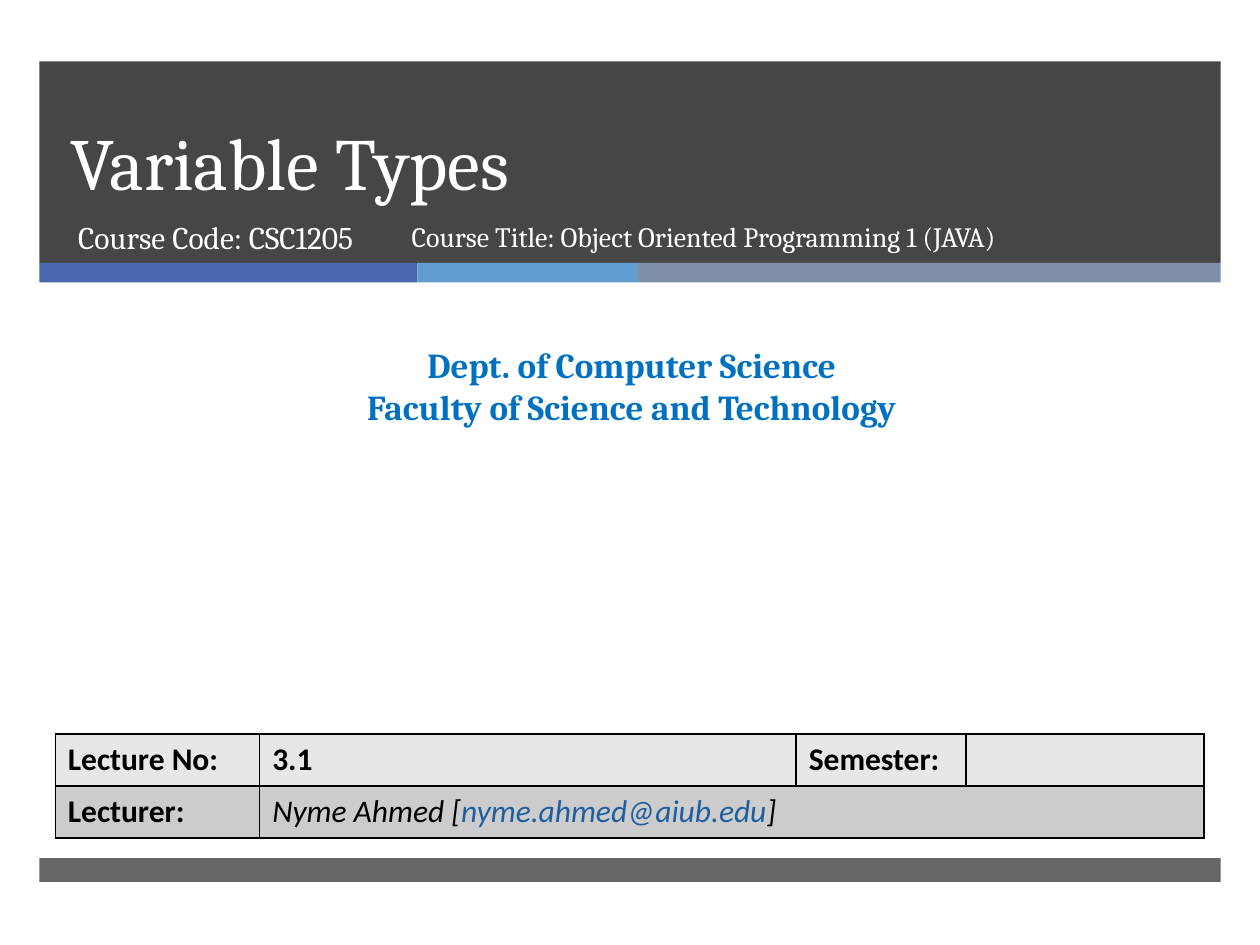
from lxml.etree import SubElement
from pptx import Presentation
from pptx.dml.color import RGBColor
from pptx.enum.shapes import MSO_SHAPE
from pptx.enum.text import MSO_ANCHOR, MSO_AUTO_SIZE, PP_ALIGN
from pptx.oxml.ns import qn
from pptx.util import Pt

THEME = {
    "heading_font": "Cambria", "table_font": "Calibri",
    "dark": "262626", "accents": ("4A66AC", "629DD1", "7F8FA9"),
    "light_text": "FFFFFF", "text": "000000", "department": "0070C0",
    "email": "1F5FA0", "rows": ("E7E7E7", "CCCCCC"), "border": "000000",
    "title": 42, "department_size": 20, "course_code": 18,
    "course_title": 16, "table": 18,
}

TITLE = "Variable Types"
COURSE_CODE = "Course Code: CSC1205"
COURSE_TITLE = "Course Title: Object Oriented Programming 1 (JAVA)"
DEPARTMENT = ["Dept. of Computer Science", "Faculty of Science and Technology"]
LABEL = {"bold": True}
NAME = {"italic": True}
LECTURE_ROWS = [
    [[("Lecture No:", "text", LABEL)], [("3.1", "text", LABEL)],
     [("Semester:", "text", LABEL)], []],
    [[("Lecturer:", "text", LABEL)],
     [("Nyme Ahmed [", "text", NAME), ("nyme.ahmed@aiub.edu", "email", NAME),
      ("]", "text", NAME)]],
]

# Lengths in points
BAND_LEFT, BAND_WIDTH = 22.5, 675
HEADER_TOP, STRIPE_TOP, STRIPE_HEIGHT = 35.1, 150.3, 11.1
STRIPE_WIDTHS = (216, 126, 333)
FOOTER_TOP, FOOTER_HEIGHT = 490.3, 13.7
TABLE_LEFT, TABLE_TOP, ROW_HEIGHT = 31.6, 419.3, 29.8
COLUMN_WIDTHS = (116.8, 306.6, 96.9, 136.1)


def points(*lengths):
    return [Pt(length) for length in lengths]


def add_band(slide, left, top, width, height, color, opacity=None):
    band = slide.shapes.add_shape(MSO_SHAPE.RECTANGLE,
                                  *points(left, top, width, height))
    band.shadow.inherit = False
    band.line.fill.background()
    band.fill.solid()
    band.fill.fore_color.rgb = RGBColor.from_string(color)
    if opacity:
        color_element = next(band._element.spPr.iter(qn("a:srgbClr")))
        SubElement(color_element, qn("a:alpha"), val=str(opacity * 1000))


def add_span(para, text, font, size, color, **style):
    span = para.add_run()
    span.text = text
    for name, value in {"name": font, "size": Pt(size), **style}.items():
        setattr(span.font, name, value)
    span.font.color.rgb = RGBColor.from_string(color)


def fill_box(box, place, lines, size, color, align=PP_ALIGN.LEFT,
             anchor=MSO_ANCHOR.TOP, fit=MSO_AUTO_SIZE.NONE, spacing=None, **style):
    box.left, box.top, box.width, box.height = points(*place)
    frame = box.text_frame
    frame_format = {"word_wrap": True, "auto_size": fit, "vertical_anchor": anchor}
    for name, value in frame_format.items():
        setattr(frame, name, value)
    for index, line in enumerate(lines):
        para = frame.add_paragraph() if index else frame.paragraphs[0]
        para_format = {"alignment": align, "space_before": Pt(0),
                       "line_spacing": spacing or 1.0}
        for name, value in para_format.items():
            setattr(para, name, value)
        add_span(para, line, THEME["heading_font"], THEME[size], THEME[color], **style)


def add_borders(cell):
    properties = cell._tc.get_or_add_tcPr()
    for side in ("lnL", "lnR", "lnT", "lnB"):
        line = SubElement(properties, qn(f"a:{side}"), w=str(Pt(1)))
        fill = SubElement(line, qn("a:solidFill"))
        SubElement(fill, qn("a:srgbClr"), val=THEME["border"])


def add_lecture_table(slide):
    row_count, column_count = len(LECTURE_ROWS), len(COLUMN_WIDTHS)
    table = slide.shapes.add_table(
        row_count, column_count,
        *points(TABLE_LEFT, TABLE_TOP, sum(COLUMN_WIDTHS), row_count * ROW_HEIGHT)).table
    for column, width in zip(table.columns, COLUMN_WIDTHS):
        column.width = Pt(width)
    for row_index, content in enumerate(LECTURE_ROWS):
        table.rows[row_index].height = Pt(ROW_HEIGHT)
        for cell in table.rows[row_index].cells:
            add_borders(cell)
            cell.fill.solid()
            cell.fill.fore_color.rgb = RGBColor.from_string(THEME["rows"][row_index])
        for column_index, spans in enumerate(content):
            para = table.cell(row_index, column_index).text_frame.paragraphs[0]
            for text, color, style in spans:
                add_span(para, text, THEME["table_font"], THEME["table"], THEME[color],
                         **{"bold": False, **style})
    table.cell(1, 1).merge(table.cell(1, column_count - 1))


def main():
    deck = Presentation()
    deck.slide_width, deck.slide_height = points(720, 540)
    slide = deck.slides.add_slide(deck.slide_layouts[0])
    title, subtitle = slide.placeholders

    add_band(slide, BAND_LEFT, HEADER_TOP, BAND_WIDTH, STRIPE_TOP - HEADER_TOP,
             THEME["dark"], 85)
    left = BAND_LEFT
    for width, color in zip(STRIPE_WIDTHS, THEME["accents"]):
        add_band(slide, left, STRIPE_TOP, width, STRIPE_HEIGHT, color)
        left += width
    add_band(slide, BAND_LEFT, FOOTER_TOP, BAND_WIDTH, FOOTER_HEIGHT, THEME["dark"], 70)

    # Bring the placeholders in front of the bands
    for placeholder in (title, subtitle):
        slide.shapes._spTree.append(placeholder._element)
    fill_box(title, (33.1, 35.3, 614.9, 85.7), [TITLE], "title", "light_text",
             anchor=MSO_ANCHOR.BOTTOM, spacing=Pt(46))
    fill_box(subtitle, (37.4, 121, 219.6, 38.2), [COURSE_CODE],
             "course_code", "light_text")
    fill_box(slide.shapes.add_textbox(0, 0, 0, 0), (5.8, 193, 710.6, 55.4), DEPARTMENT,
             "department_size", "department", align=PP_ALIGN.CENTER,
             fit=MSO_AUTO_SIZE.SHAPE_TO_FIT_TEXT, bold=True)
    fill_box(slide.shapes.add_textbox(0, 0, 0, 0), (228.2, 121.7, 378, 38.2),
             [COURSE_TITLE], "course_title", "light_text")
    add_lecture_table(slide)
    deck.save("out.pptx")


if __name__ == "__main__":
    main()
